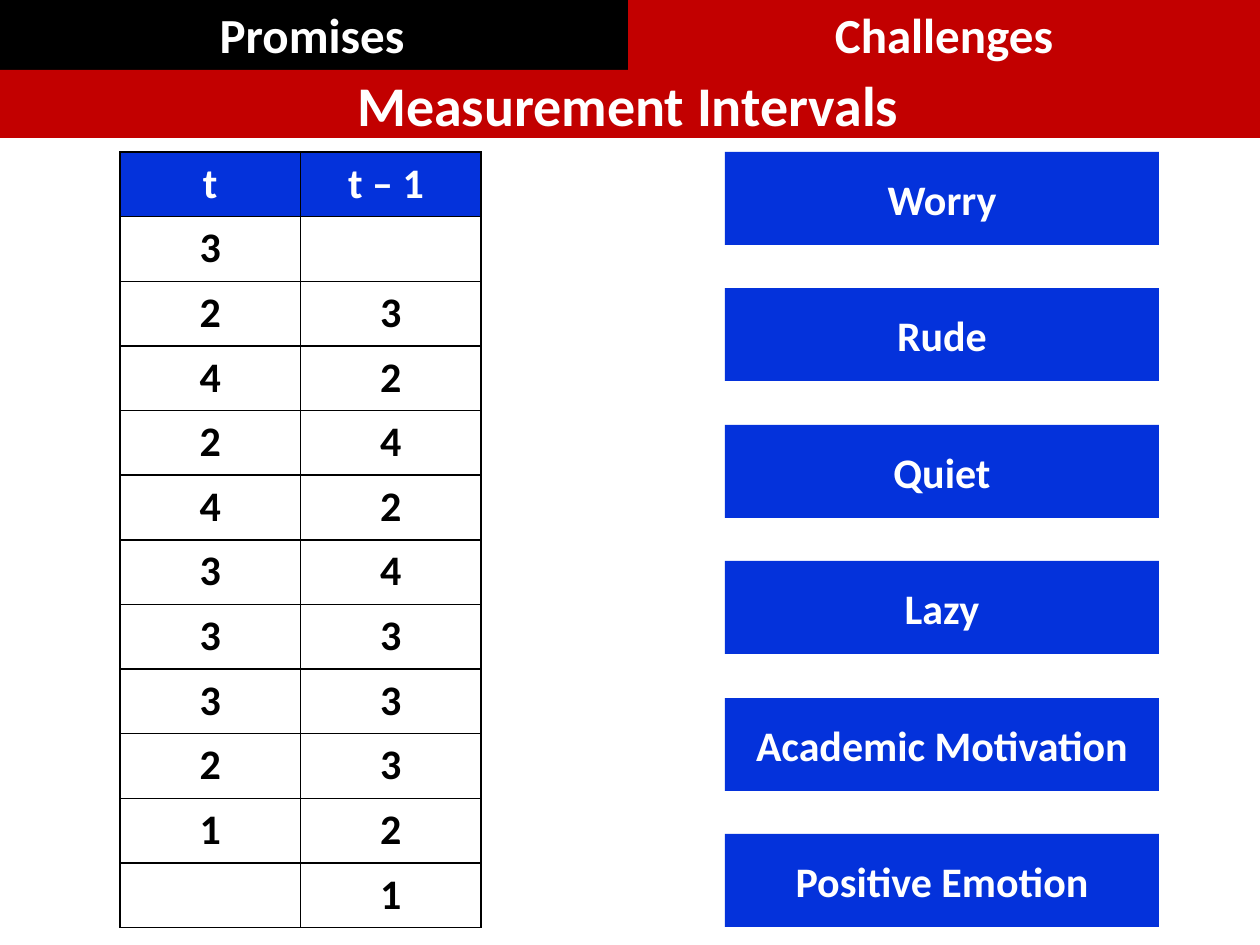
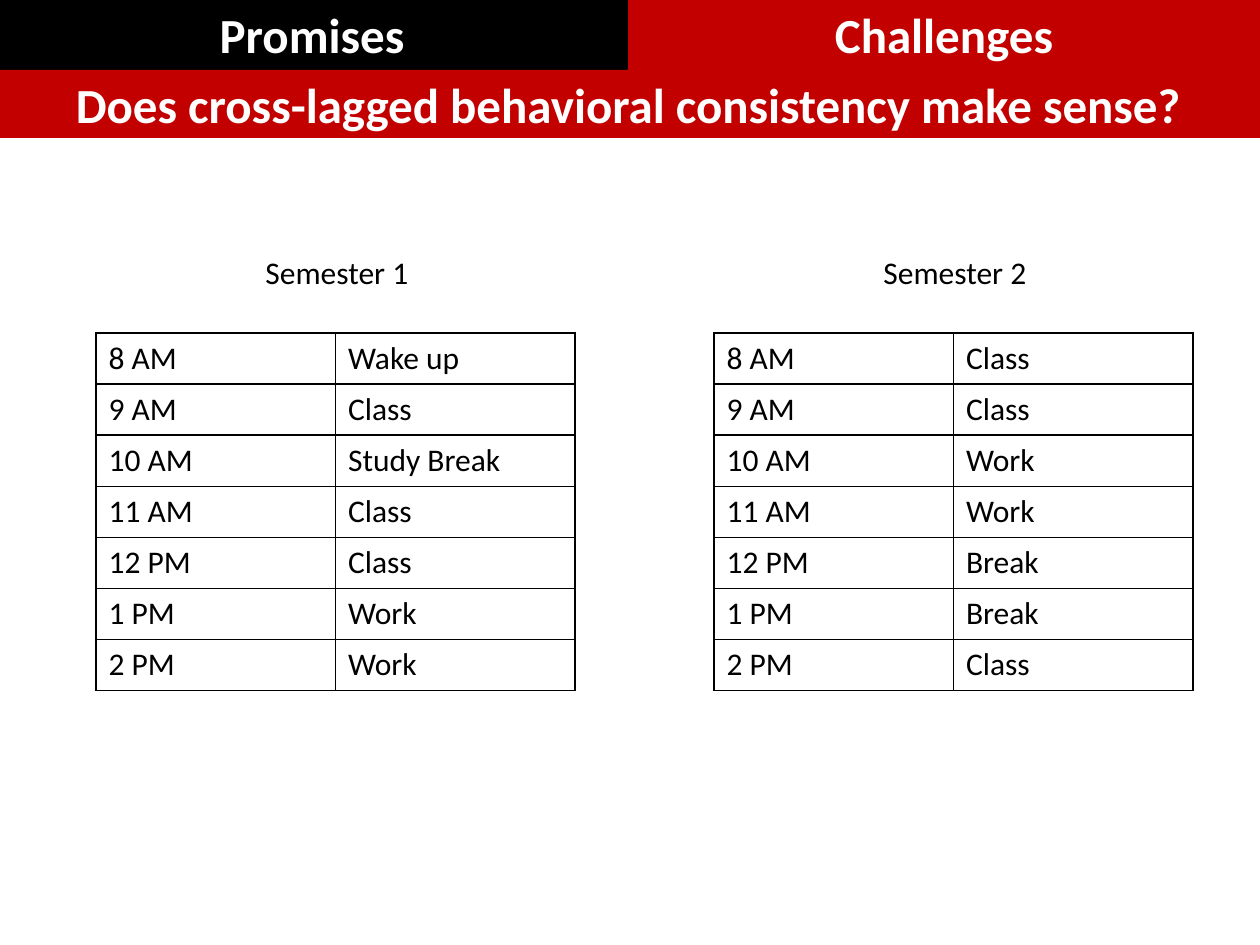
"""Build two slides on measurement intervals and cross-lagged consistency."""
from lxml import etree
from pptx import Presentation
from pptx.dml.color import RGBColor
from pptx.enum.shapes import MSO_SHAPE
from pptx.enum.text import MSO_ANCHOR, PP_ALIGN
from pptx.oxml.ns import qn
from pptx.util import Pt

EMU_PER_PX = 914400 / 126
RECTANGLE = MSO_SHAPE.RECTANGLE
TOP, MIDDLE = MSO_ANCHOR.TOP, MSO_ANCHOR.MIDDLE
LEFT, CENTER = PP_ALIGN.LEFT, PP_ALIGN.CENTER

BLACK, WHITE, RED, BLUE = "000000", "FFFFFF", "C20000", "0432DB"
FONT = "Calibri"

RATINGS = [3, 2, 4, 2, 4, 3, 3, 3, 2, 1]
TRAITS = ["Worry", "Rude", "Quiet", "Lazy", "Academic Motivation", "Positive Emotion"]
HOURS = ["8 AM", "9 AM", "10 AM", "11 AM", "12 PM", "1 PM", "2 PM"]
SEMESTERS = [
    ("Semester 1", 96, ["Wake up", "Class", "Study Break", "Class", "Class", "Work", "Work"]),
    ("Semester 2", 714, ["Class", "Class", "Work", "Work", "Break", "Break", "Class"]),
]


def px(length):
    """Turn pixels into EMU."""
    return round(length * EMU_PER_PX)


def color(value):
    """Turn a hex string into a colour."""
    return RGBColor.from_string(value)


def write(frame, text, size=18, ink=BLACK, bold=False, align=LEFT):
    """Write one formatted paragraph into a text frame."""
    para = frame.paragraphs[0]
    para.alignment = align
    span = para.add_run()
    span.text = text
    span.font.name = FONT
    span.font.size = Pt(size)
    span.font.bold = bold
    span.font.color.rgb = color(ink)


def set_borders(cell, line):
    """Draw all four cell borders in a colour, or clear them."""
    properties = cell._tc.get_or_add_tcPr()
    for side in ("a:lnL", "a:lnR", "a:lnT", "a:lnB"):
        border = etree.SubElement(properties, qn(side), w=str(Pt(1)))
        if line:
            fill = etree.SubElement(border, qn("a:solidFill"))
            etree.SubElement(fill, qn("a:srgbClr"), val=line)
        else:
            etree.SubElement(border, qn("a:noFill"))


class Deck:
    """Hold the presentation, its shared style and the current slide."""

    def __init__(self):
        """Start an empty deck."""
        self.deck = Presentation()
        self.deck.slide_width, self.deck.slide_height = px(1260), px(945)
        self.page = None

    def add_page(self, title, size):
        """Add a blank slide."""
        self.page = self.deck.slides.add_slide(self.deck.slide_layouts[6])
        self.title, self.title_size = title, size

    def add_header(self):
        """Draw the section tabs and the title band."""
        self.table([["Promises", "Challenges"]], -4, -2, 1264, 77, line=None,
                   head_fills=[BLACK, RED], anchor=MIDDLE, size=28, bold=True, align=CENTER)
        self.box(self.title, -4, 70, 1264, 68, RED, size=self.title_size)

    def box(self, text, left, top, width, height, fill, size=24):
        """Draw a filled rectangle with bold white text."""
        box = self.page.shapes.add_shape(RECTANGLE, px(left), px(top), px(width), px(height))
        box.shadow.inherit = False
        box.fill.solid()
        box.fill.fore_color.rgb = color(fill)
        box.line.fill.background()
        box.text_frame.word_wrap = True
        box.text_frame.vertical_anchor = MIDDLE
        write(box.text_frame, text, size=size, ink=WHITE, bold=True, align=CENTER)

    def label(self, text, left, top, width, height):
        """Place a centred line of plain text."""
        box = self.page.shapes.add_textbox(px(left), px(top), px(width), px(height))
        box.text_frame.word_wrap = True
        write(box.text_frame, text, align=CENTER)

    def table(self, rows, left, top, width, height, line=BLACK, head_fills=None,
              anchor=TOP, **style):
        """Draw an even grid whose first row may be filled."""
        table = self.page.shapes.add_table(len(rows), len(rows[0]), px(left), px(top),
                                           px(width), px(height)).table
        table.first_row = table.horz_banding = False
        for row_index, row in enumerate(rows):
            for column_index, text in enumerate(row):
                cell = table.cell(row_index, column_index)
                cell.vertical_anchor = anchor
                set_borders(cell, line)
                is_head = head_fills and row_index == 0
                if is_head:
                    cell.fill.solid()
                    cell.fill.fore_color.rgb = color(head_fills[column_index])
                else:
                    cell.fill.background()
                if text:
                    write(cell.text_frame, text, ink=WHITE if is_head else BLACK, **style)

    def save(self):
        """Save the deck."""
        self.deck.save("out.pptx")


def build_intervals(deck):
    """Build the slide with lagged ratings and trait boxes."""
    deck.add_page("Measurement Intervals", 32)
    ratings = [str(rating) for rating in RATINGS]
    rows = [["t", "t – 1 "], *zip(ratings + [""], [""] + ratings)]
    deck.table(rows, 120, 152, 361, 776, head_fills=[BLUE, BLUE],
               size=24, bold=True, align=CENTER)
    first_top, last_top = 152, 834
    pitch = (last_top - first_top) / (len(TRAITS) - 1)
    for index, trait in enumerate(TRAITS):
        deck.box(trait, 725, first_top + round(index * pitch), 434, 93, BLUE)
    deck.add_header()


def build_schedules(deck):
    """Build the slide with two semester schedules."""
    deck.add_page("Does cross-lagged behavioral consistency make sense?", 28)
    for name, left, activities in SEMESTERS:
        deck.table(list(zip(HOURS, activities)), left, 333, 479, 358)
        deck.label(name, left + 57, 247, 368, 53)
    deck.add_header()


def main():
    """Build and save both slides."""
    deck = Deck()
    build_intervals(deck)
    build_schedules(deck)
    deck.save()


if __name__ == "__main__":
    main()
